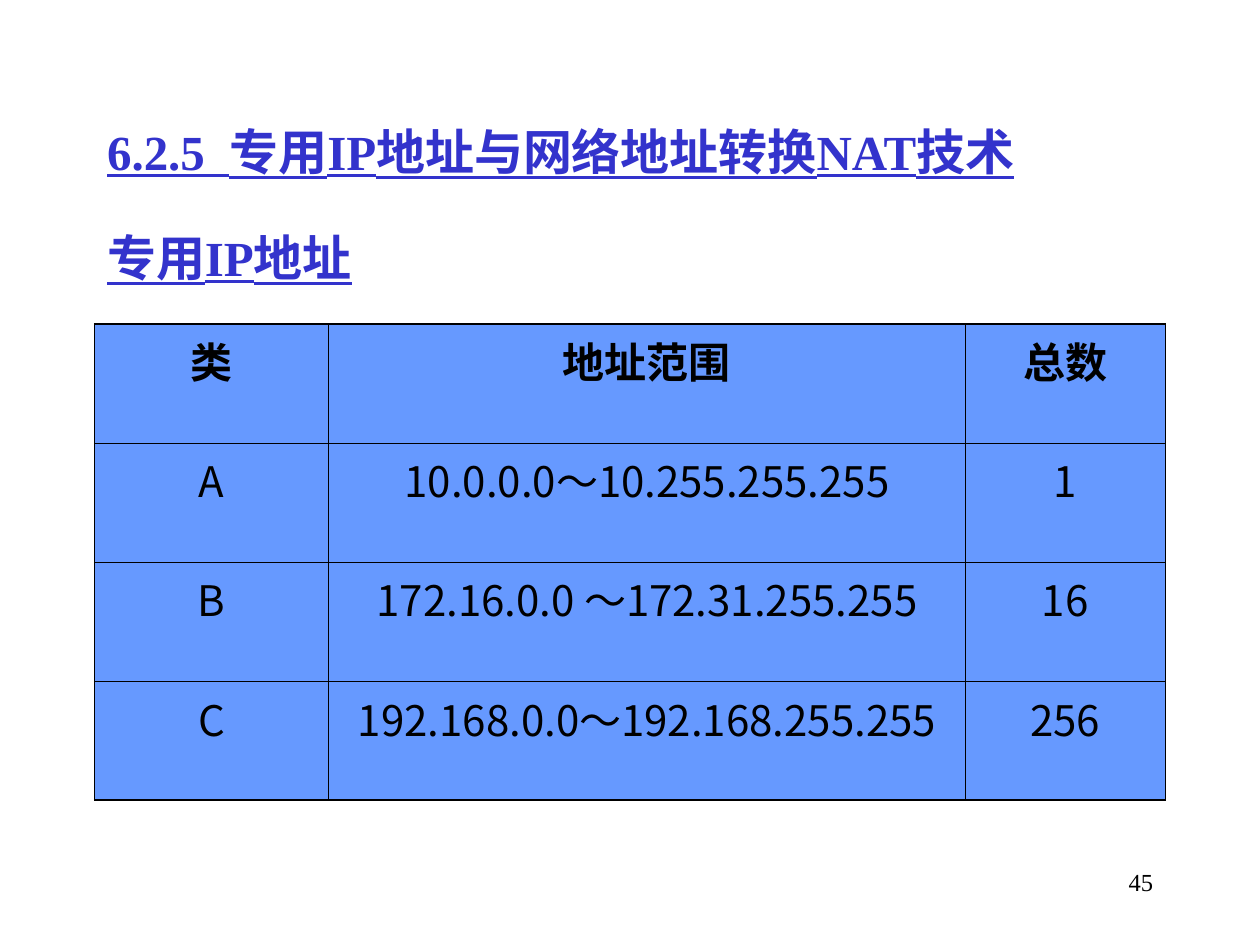
from lxml import etree
from pptx import Presentation, util as u
from pptx.dml.color import RGBColor
from pptx.enum import text as t
from pptx.oxml.ns import qn

EMU_PER_PX = 9144  # 100 px to the inch
COLORS = {"title": "3333CC", "cell": "6699FF", "ink": "000000"}
SERIF, SANS = "Times New Roman", "Noto Sans CJK SC"
OUTER, INNER = 0.96, 0.45  # border widths in points


def px(n):
    return u.Emu(n * EMU_PER_PX)


class Deck:
    def __init__(self, width, height):
        self.prs = Presentation()
        self.prs.slide_width, self.prs.slide_height = px(width), px(height)
        self.slide = self.prs.slides.add_slide(self.prs.slide_layouts[5])

    def run(self, para, words, size, font, color="ink", bold=False, underline=False):
        run = para.add_run()
        run.text = words
        run.font.size, run.font.name = u.Pt(size), font
        run.font.bold, run.font.underline = bold, underline
        run.font.color.rgb = RGBColor.from_string(COLORS[color])
        east_asian = etree.SubElement(run.font._element, qn("a:ea"))
        east_asian.set("typeface", SANS)

    def title(self, box, lines, gap):
        title = self.slide.shapes.title
        title.left, title.top, title.width, title.height = map(px, box)
        frame = title.text_frame
        frame.word_wrap = True
        frame.auto_size = t.MSO_AUTO_SIZE.NONE
        frame.vertical_anchor = t.MSO_ANCHOR.MIDDLE
        for i, line in enumerate(lines):
            para = frame.add_paragraph() if i else frame.paragraphs[0]
            para.alignment = t.PP_ALIGN.LEFT
            para.space_before = u.Pt(gap if i else 0)
            self.run(para, line, 28, SERIF, "title", bold=True, underline=True)

    def text(self, box, words, size):
        frame = self.slide.shapes.add_textbox(*map(px, box)).text_frame
        frame.word_wrap = True
        para = frame.paragraphs[0]
        para.alignment = t.PP_ALIGN.RIGHT
        self.run(para, words, size, SERIF)

    def borders(self, cell, widths):
        props = cell._tc.get_or_add_tcPr()
        for i, (side, width) in enumerate(widths.items()):
            line = etree.Element(qn("a:" + side), w=str(u.Pt(width)))
            fill = etree.SubElement(line, qn("a:solidFill"))
            etree.SubElement(fill, qn("a:srgbClr"), val=COLORS["ink"])
            props.insert(i, line)

    def table(self, box, col_widths, rows):
        last_row, last_col = len(rows) - 1, len(col_widths) - 1
        table = self.slide.shapes.add_table(
            len(rows), len(col_widths), *map(px, box)).table
        for column, width in zip(table.columns, col_widths):
            column.width = px(width)
        for r, row in enumerate(rows):
            for c, words in enumerate(row):
                cell = table.cell(r, c)
                cell.fill.solid()
                cell.fill.fore_color.rgb = RGBColor.from_string(COLORS["cell"])
                para = cell.text_frame.paragraphs[0]
                para.alignment = t.PP_ALIGN.CENTER
                self.run(para, words, 24, SANS, bold=r == 0)
                self.borders(cell, {
                    "lnL": INNER if c else OUTER,
                    "lnR": OUTER if c == last_col else INNER,
                    "lnT": INNER if r else OUTER,
                    "lnB": OUTER if r == last_row else INNER,
                })


def main():
    deck = Deck(1000, 750)

    # Section heading and topic
    deck.title((75, 99, 850, 125),
               ["6.2.5  专用IP地址与网络地址转换NAT技术", "专用IP地址"], gap=27)

    # Private address ranges
    deck.table((75, 257, 850, 378), (186, 505, 159), [
        ("类", "地址范围", "总数"),
        ("A", "10.0.0.0～10.255.255.255", "1"),
        ("B", "172.16.0.0 ～172.31.255.255", "16"),
        ("C", "192.168.0.0～192.168.255.255", "256"),
    ])

    # Page number
    deck.text((717, 683, 208, 50), "45", 14)

    deck.prs.save("out.pptx")


if __name__ == "__main__":
    main()
